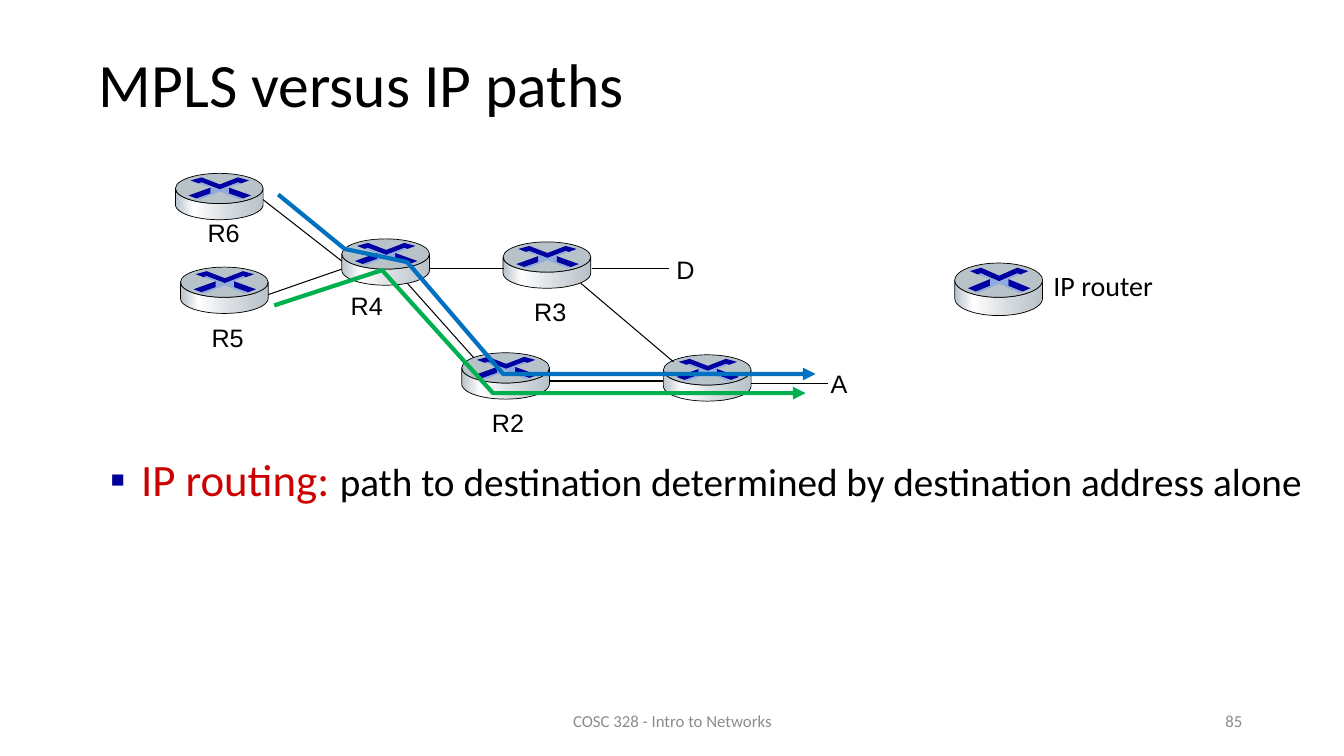
from dataclasses import dataclass
from math import cos, pi, sin

from lxml.etree import SubElement
from pptx import Presentation
from pptx.dml.color import RGBColor
from pptx.enum.shapes import MSO_CONNECTOR, MSO_SHAPE
from pptx.enum.text import MSO_ANCHOR, MSO_AUTO_SIZE, PP_ALIGN
from pptx.oxml.ns import qn
from pptx.util import Inches, Pt


@dataclass(frozen=True)
class Theme:
    sans: str = "Calibri"
    label: str = "Arial"
    ink: str = "000000"
    muted: str = "8C8C8C"
    accent: str = "CC0000"
    bullet: str = "000099"
    metal: str = "B8C2C9"
    cross: str = "0000A3"
    glow: str = "8FAADC"
    blue: str = "0070C0"
    green: str = "00B050"
    title: int = 44
    lead: int = 32
    body: int = 28
    legend: int = 20
    node: int = 18
    foot: int = 12


THEME = Theme()
SHEEN = [(0, THEME.metal), (21, "FFFFFF"), (60, "D6DCE0"), (100, THEME.metal)]

# Router artwork in inches, for a lid 0.87 wide and 0.3 high
WIDE, LID, MID = 0.87, 0.3, 0.44
CROSS = [(.62, .04), (.73, .07), (.65, .1), (.62, .09), (.44, .16),
         (.26, .09), (.23, .1), (.15, .07), (.26, .04), (.44, .11)]
FOOT = [(.53, .14), (.75, .22), (.67, .25), (.53, .2)]
GLOW = [(.23, .1), (.26, .09), (.44, .16), (.62, .09), (.65, .1),
        (.53, .14), (.53, .2), (.67, .25), (.64, .26), (.44, .18),
        (.24, .26), (.21, .25), (.35, .2), (.35, .14)]

CORE = [(3.39, 2.37), (4.99, 2.4), (4.58, 3.5), (6.58, 3.52)]
EDGE = [(1.74, 1.72), (1.79, 2.65)]
LINKS = [(2.57, 1.95, 3.39, 2.59), (2.64, 2.93, 3.39, 2.67),
         (4.27, 2.66, 5, 2.66), (4.04, 2.81, 4.7, 3.55),
         (5.45, 3.78, 6.58, 3.78), (5.76, 2.81, 6.68, 3.59),
         (7.45, 3.8, 8.21, 3.8), (5.87, 2.66, 6.64, 2.66)]
LABELS = [("R2", 4.78, 3.99, .52), ("D", 6.61, 2.47, .38),
          ("R3", 5.2, 2.89, .52), ("R5", 2, 3.15, .52),
          ("A", 8.14, 3.6, .37), ("R6", 1.96, 2.11, .52),
          ("R4", 3.38, 2.83, .52)]
ROUTES = [(THEME.blue, [(2.76, 1.93), (3.42, 2.47), (4.04, 2.6),
                        (4.99, 3.71), (8.09, 3.71)]),
          (THEME.green, [(2.72, 3.03), (3.79, 2.68), (4.89, 3.9),
                         (7.99, 3.9)])]


def rgb(code):
    return RGBColor.from_string(code)


def place(shape, x, y, w, h):
    shape.left, shape.top = Inches(x), Inches(y)
    shape.width, shape.height = Inches(w), Inches(h)


def write(para, text, size, color=THEME.ink, font=THEME.sans):
    run = para.add_run()
    run.text = text
    run.font.name, run.font.size = font, Pt(size)
    run.font.color.rgb = rgb(color)


def paint(shape, fill=None, line=None, width=0.5):
    shape.shadow.inherit = False
    if fill:
        shape.fill.solid()
        shape.fill.fore_color.rgb = rgb(fill)
    else:
        shape.fill.background()
    if line:
        shape.line.color.rgb = rgb(line)
        shape.line.width = Pt(width)
    else:
        shape.line.fill.background()


def shade(shape):
    """Fill with the left-to-right metal gradient."""
    shape.fill.gradient()
    shape.fill.gradient_angle = 0
    stops = shape._element.spPr.find(".//" + qn("a:gsLst"))
    stops.clear()
    for pos, code in SHEEN:
        stop = SubElement(stops, qn("a:gs"), pos=str(pos * 1000))
        SubElement(stop, qn("a:srgbClr"), val=code)


def trace(shapes, points, close=True):
    spots = [(Inches(x), Inches(y)) for x, y in points]
    pen = shapes.build_freeform(*spots[0], scale=1.0)
    pen.add_line_segments(spots[1:], close=close)
    return pen.convert_to_shape()


def arc(base):
    """Lower half of the lid's ellipse, right to left, centred at base."""
    turns = [pi * step / 24 for step in range(25)]
    return [(WIDE / 2 * (1 + cos(t)), base + LID / 2 * sin(t)) for t in turns]


def router(slide, x, y, lid=LID):
    parts = slide.shapes.add_group_shape().shapes

    def put(points):
        return trace(parts, [(x + a, y + b * lid / LID) for a, b in points])

    side = put(arc(0.31) + arc(0.15)[::-1])
    paint(side, THEME.metal, THEME.ink)
    shade(side)
    top = parts.add_shape(MSO_SHAPE.OVAL, Inches(x), Inches(y),
                          Inches(WIDE), Inches(lid))
    paint(top, THEME.metal, THEME.ink)
    mirror = [(2 * MID - a, b) for a, b in FOOT]
    for points in (CROSS, FOOT, mirror):
        paint(put(points), THEME.cross)
    paint(put(GLOW), THEME.glow)


def link(slide, *ends):
    line = slide.shapes.add_connector(MSO_CONNECTOR.STRAIGHT,
                                      *[Inches(n) for n in ends])
    line.line.color.rgb = rgb(THEME.ink)
    line.line.width = Pt(0.75)
    SubElement(line._element.spPr, qn("a:effectLst"))


def route(slide, color, points):
    shape = trace(slide.shapes, points, close=False)
    paint(shape, line=color, width=3)
    SubElement(shape.line._get_or_add_ln(), qn("a:tailEnd"), type="triangle")


def label(slide, text, x, y, w, h=0.4, size=THEME.node, font=THEME.label):
    box = slide.shapes.add_textbox(*[Inches(n) for n in (x, y, w, h)])
    box.text_frame.word_wrap = False
    write(box.text_frame.paragraphs[0], text, size, font=font)


def footer(slide, text, x, w, align):
    box = slide.shapes.add_textbox(*[Inches(n) for n in (x, 6.95, w, 0.4)])
    frame = box.text_frame
    frame.word_wrap = True
    frame.vertical_anchor = MSO_ANCHOR.MIDDLE
    frame.paragraphs[0].alignment = align
    write(frame.paragraphs[0], text, THEME.foot, THEME.muted)


def heading(slide, text):
    title = slide.shapes.title
    place(title, 0.88, 0.38, 11.5, 0.98)
    title.text_frame.vertical_anchor = MSO_ANCHOR.MIDDLE
    para = title.text_frame.paragraphs[0]
    para.alignment = PP_ALIGN.LEFT
    para.line_spacing = 0.9
    write(para, text, THEME.title)


def point(slide, lead, text):
    body = slide.placeholders[1]
    place(body, 0.99, 4.51, 12.17, 0.62)
    body.text_frame.auto_size = MSO_AUTO_SIZE.NONE
    para = body.text_frame.paragraphs[0]
    para.line_spacing = 0.85
    para.space_before = Pt(0)
    props = para._p.get_or_add_pPr()
    props.set("marL", str(Inches(0.31)))
    props.set("indent", str(-Inches(0.31)))
    tint = SubElement(props, qn("a:buClr"))
    SubElement(tint, qn("a:srgbClr"), val=THEME.bullet)
    SubElement(props, qn("a:buChar"), char="▪")
    write(para, lead, THEME.lead, THEME.accent)
    write(para, text, THEME.body)


def main():
    deck = Presentation()
    deck.slide_width, deck.slide_height = Inches(13.33), Inches(7.5)
    slide = deck.slides.add_slide(deck.slide_layouts[1])
    heading(slide, "MPLS versus IP paths")
    point(slide, "IP routing: ",
          "path to destination determined by destination address alone")
    for spot in CORE:
        router(slide, *spot)
    for ends in LINKS:
        link(slide, *ends)
    for item in LABELS:
        label(slide, *item)
    for spot in EDGE:
        router(slide, *spot)
    for color, points in ROUTES:
        route(slide, color, points)
    label(slide, "IP router", 10.35, 2.61, 1.2, 0.44, THEME.legend, THEME.sans)
    router(slide, 9.47, 2.61, lid=0.34)
    footer(slide, "COSC 328 - Intro to Networks", 4.42, 4.5, PP_ALIGN.CENTER)
    footer(slide, "85", 9.42, 3, PP_ALIGN.RIGHT)
    deck.save("out.pptx")


if __name__ == "__main__":
    main()
